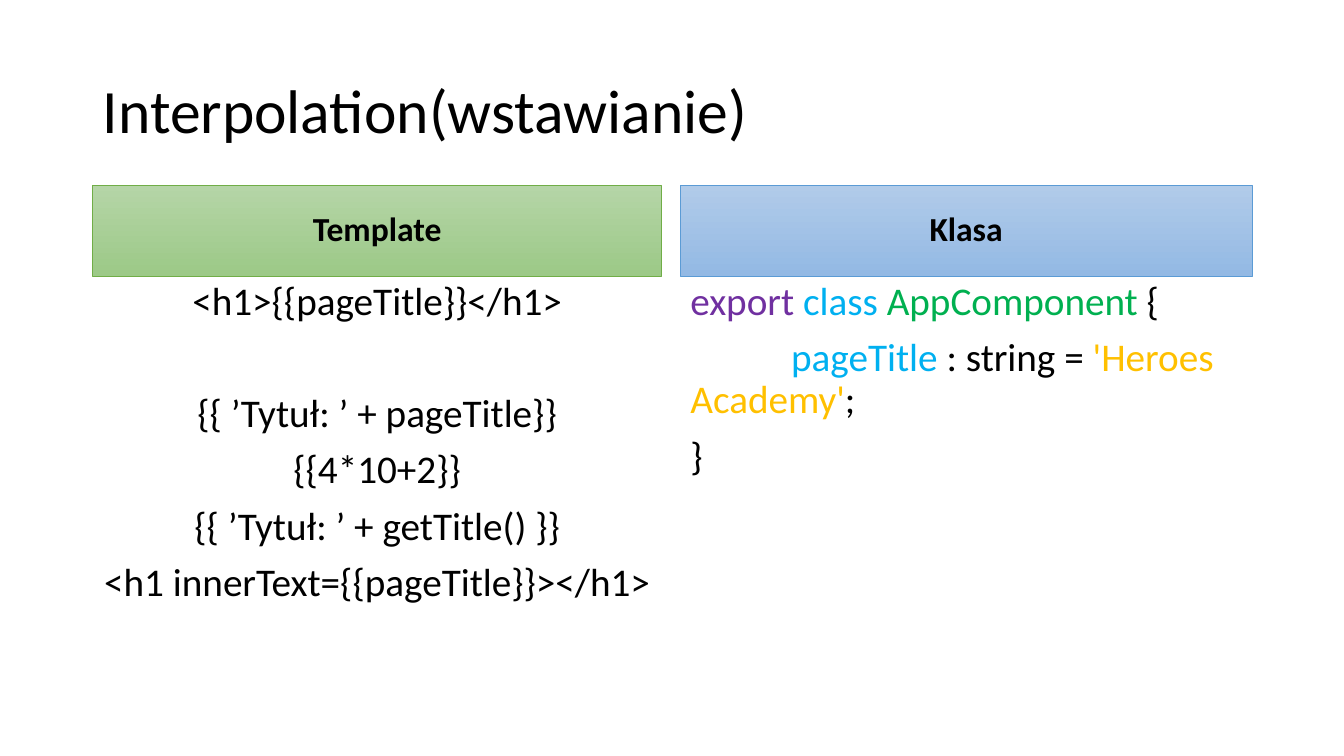
from dataclasses import dataclass

from pptx import Presentation
from pptx.dml.color import RGBColor
from pptx.enum.shapes import MSO_SHAPE
from pptx.enum.text import MSO_ANCHOR, PP_ALIGN
from pptx.shapes.autoshape import Shape
from pptx.slide import Slide
from pptx.util import Cm, Pt

LEFT, CENTER = PP_ALIGN.LEFT, PP_ALIGN.CENTER
TOP, MIDDLE = MSO_ANCHOR.TOP, MSO_ANCHOR.MIDDLE
RECTANGLE = MSO_SHAPE.RECTANGLE

FONT = "Calibri"
BLACK, PURPLE, BLUE = "000000", "7030A0", "00B0F0"
GREEN, YELLOW = "00B050", "FFC000"

MARGIN_LEFT = 2.34
HEADER_TOP, HEADER_HEIGHT = 4.67, 2.29
BODY_TOP, BODY_HEIGHT = HEADER_TOP + HEADER_HEIGHT, 10.24


@dataclass(frozen=True)
class Run:
    text: str
    color: str = BLACK


@dataclass(frozen=True)
class Line:
    runs: tuple[Run, ...]
    space_before: float = 10
    first_indent: float = 0


@dataclass(frozen=True)
class Column:
    heading: str
    left: float
    width: float
    gradient: tuple[str, str]
    border: str
    align: PP_ALIGN
    lines: tuple[Line, ...]


COLUMNS = (
    Column(
        "Template", MARGIN_LEFT, 14.33, ("B5D5A7", "9CC987"), "70AD47", CENTER,
        (
            Line((Run("<h1>{{pageTitle}}</h1>"),)),
            Line((Run("{{ ’Tytuł: ’ + pageTitle}}"),), space_before=50),
            Line((Run("{{4*10+2}}"),)),
            Line((Run("{{ ’Tytuł: ’ + getTitle() }}"),)),
            Line((Run("<h1 innerText={{pageTitle}}></h1>"),)),
        ),
    ),
    Column(
        "Klasa", 17.15, 14.4, ("B1CBE9", "93B9E4"), "5B9BD5", LEFT,
        (
            Line((Run("export ", PURPLE), Run("class ", BLUE),
                  Run("AppComponent", GREEN), Run(" {"))),
            Line((Run("pageTitle", BLUE), Run(" : string = "),
                  Run("'Heroes Academy'", YELLOW), Run(";")), first_indent=2.54),
            Line((Run("}"),)),
        ),
    ),
)


def rgb(value: str) -> RGBColor:
    return RGBColor.from_string(value)


def write_text(shape: Shape, lines: tuple[Line, ...], *, size: float,
               bold: bool = False, align: PP_ALIGN = LEFT,
               anchor: MSO_ANCHOR = TOP) -> None:
    frame = shape.text_frame
    frame.word_wrap = True
    frame.vertical_anchor = anchor
    for index, line in enumerate(lines):
        paragraph = frame.add_paragraph() if index else frame.paragraphs[0]
        paragraph.alignment = align
        paragraph.line_spacing = 0.9
        paragraph.space_before = Pt(line.space_before)
        if line.first_indent:
            properties = paragraph._p.get_or_add_pPr()
            properties.set("marL", "0")
            properties.set("indent", str(Cm(line.first_indent)))
        for part in line.runs:
            run = paragraph.add_run()
            run.text = part.text
            run.font.name = FONT
            run.font.size = Pt(size)
            run.font.bold = bold
            run.font.color.rgb = rgb(part.color)


def add_title(slide: Slide, text: str) -> None:
    box = slide.shapes.add_textbox(Cm(MARGIN_LEFT), Cm(1.02), Cm(29.21), Cm(3.68))
    write_text(box, (Line((Run(text),), space_before=0),), size=44, anchor=MIDDLE)


def add_column(slide: Slide, column: Column) -> None:
    """Draw a gradient heading bar with a text body under it."""
    left, width = Cm(column.left), Cm(column.width)
    header = slide.shapes.add_shape(
        RECTANGLE, left, Cm(HEADER_TOP), width, Cm(HEADER_HEIGHT))
    header.shadow.inherit = False
    header.fill.gradient()
    header.fill.gradient_angle = 270
    for stop, color in zip(header.fill.gradient_stops, column.gradient):
        stop.color.rgb = rgb(color)
    header.line.color.rgb = rgb(column.border)
    header.line.width = Pt(0.5)
    write_text(header, (Line((Run(column.heading),)),), size=24, bold=True,
               align=CENTER, anchor=MIDDLE)

    body = slide.shapes.add_textbox(left, Cm(BODY_TOP), width, Cm(BODY_HEIGHT))
    write_text(body, column.lines, size=28, align=column.align)


def main() -> None:
    presentation = Presentation()
    presentation.slide_width, presentation.slide_height = Cm(33.87), Cm(19.05)
    slide = presentation.slides.add_slide(presentation.slide_layouts[6])
    add_title(slide, "Interpolation(wstawianie)")
    for column in COLUMNS:
        add_column(slide, column)
    presentation.save("out.pptx")


if __name__ == "__main__":
    main()
